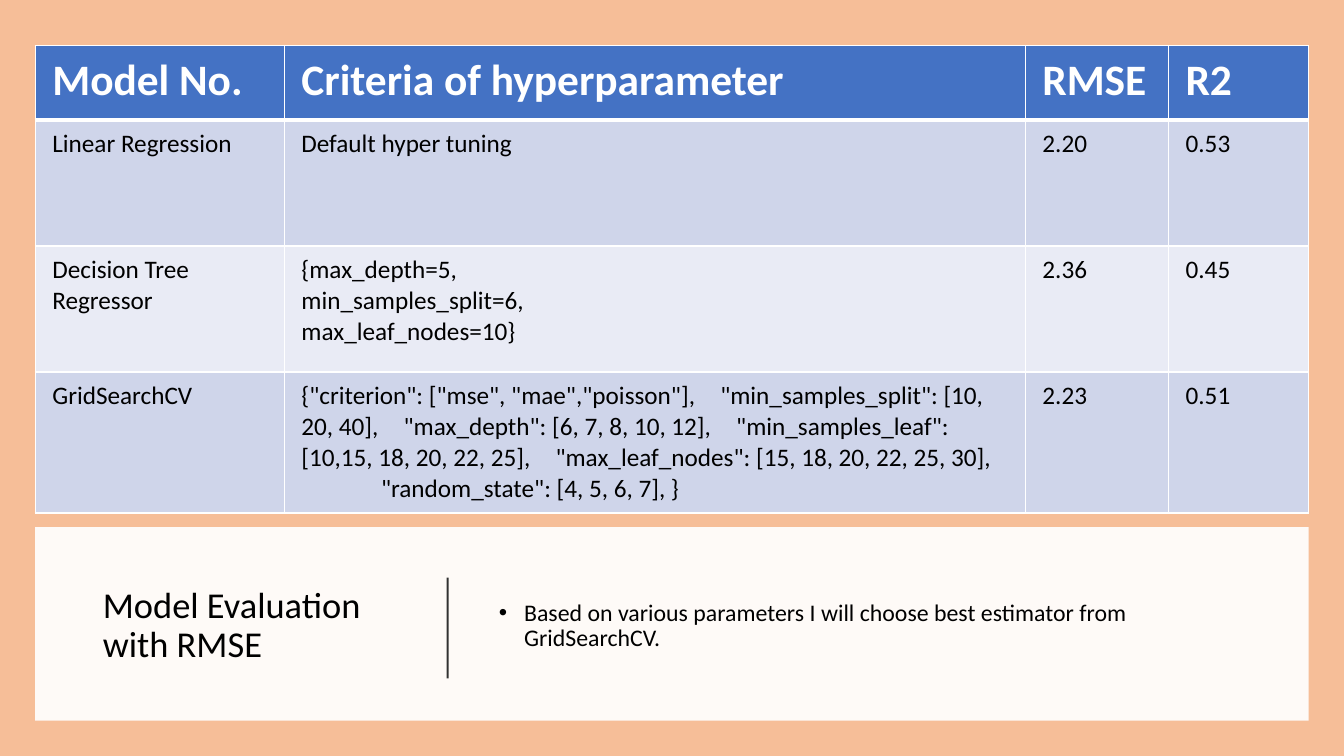
from lxml import etree
from pptx import Presentation
from pptx.dml.color import RGBColor as RGB
from pptx.enum.shapes import MSO_CONNECTOR as LINK, MSO_SHAPE as SHAPE
from pptx.enum.text import MSO_ANCHOR as ANCHOR, MSO_AUTO_SIZE as AUTO, PP_ALIGN as ALIGN
from pptx.oxml.ns import qn
from pptx.util import Inches, Pt

HEAD = ["Model No.", "Criteria of hyperparameter", "RMSE", "R2"]
GRID = ('{"criterion": ["mse", "mae","poisson"],\u2003"min_samples_split": [10, 20, 40],'
        '\u2003"max_depth": [6, 7, 8, 10, 12],\u2003"min_samples_leaf": [10,15, 18, 20, 22, 25],'
        '\u2003"max_leaf_nodes": [15, 18, 20, 22, 25, 30],')
SEED = '"random_state": [4, 5, 6, 7], }'
MODELS = [
    ["Linear Regression", "Default hyper tuning", "2.20", "0.53"],
    ["Decision Tree Regressor",
     "{max_depth=5,\nmin_samples_split=6,\nmax_leaf_nodes=10}", "2.36", "0.45"],
    ["GridSearchCV", GRID + "\n" + SEED, "2.23", "0.51"],
]
TITLE = "Model Evaluation with RMSE"
NOTE = "Based on various parameters I will choose best estimator from GridSearchCV."

PEACH = RGB(0xF6, 0xBE, 0x98)
WHITE = RGB(0xFF, 0xFF, 0xFF)
BLACK = RGB(0, 0, 0)
BLUE = RGB(0x44, 0x72, 0xC4)
BANDS = [RGB(0xCF, 0xD5, 0xEA), RGB(0xE9, 0xEB, 0xF5)]
COLS = [2.47, 7.35, 1.42, 1.39]
ROWS = [0.74, 1.25, 1.25, 1.25]
LEFT, WIDTH = 0.35, sum(COLS)


def box(*sides):
    return [Inches(side) for side in sides]


def write(para, text, size, color=BLACK, bold=False):
    run = para.add_run()
    run.text = text
    font = run.font
    font.name, font.size, font.bold = "Calibri", Pt(size), bold
    font.color.rgb = color


def fade(shape, pct):
    color = next(shape.element.spPr.iter(qn("a:srgbClr")))
    etree.SubElement(color, qn("a:alpha")).set("val", str(pct * 1000))


def edge(cell, row):
    props = cell._tc.get_or_add_tcPr()
    wide = {"T": 3 if row == 1 else 1, "B": 3 if row == 0 else 1}
    for spot, side in enumerate("LRTB"):
        line = etree.Element(qn("a:ln" + side), w=str(Pt(wide.get(side, 1))))
        fill = etree.SubElement(line, qn("a:solidFill"))
        etree.SubElement(fill, qn("a:srgbClr")).set("val", str(WHITE))
        props.insert(spot, line)


def block(shape, text, size):
    frame = shape.text_frame
    frame.word_wrap = True
    frame.auto_size = AUTO.NONE
    frame.vertical_anchor = ANCHOR.MIDDLE
    para = frame.paragraphs[0]
    para.alignment = ALIGN.LEFT
    para.line_spacing = 0.9
    para.space_after = Pt(6)
    write(para, text, size)
    return para


def main():
    """Build the model evaluation slide."""
    deck = Presentation()
    deck.slide_width, deck.slide_height = box(13.33, 7.5)
    slide = deck.slides.add_slide(deck.slide_layouts[5])
    slide.background.fill.solid()
    slide.background.fill.fore_color.rgb = PEACH
    shapes = slide.shapes

    panel = shapes.add_shape(SHAPE.RECTANGLE, *box(LEFT, 5.23, WIDTH, 1.92))
    panel.shadow.inherit = False
    panel.fill.solid()
    panel.fill.fore_color.rgb = WHITE
    panel.line.fill.background()
    fade(panel, 93)

    title = shapes.title
    panel.element.addnext(title.element)
    title.left, title.top, title.width, title.height = box(0.92, 5.48, 3.16, 1.47)
    block(title, TITLE, 26)

    rule = shapes.add_connector(LINK.STRAIGHT, *box(4.44, 6.73, 4.44, 5.73))
    rule.line.color.rgb = BLACK
    rule.line.width = Pt(1.5)
    fade(rule, 80)
    etree.SubElement(rule.element.spPr, qn("a:effectLst"))

    note = shapes.add_textbox(*box(4.79, 5.48, 7.63, 1.47))
    props = block(note, NOTE, 17)._p.get_or_add_pPr()
    props.set("marL", str(Inches(0.31)))
    props.set("indent", str(Inches(-0.25)))
    etree.SubElement(props, qn("a:buFont")).set("typeface", "Arial")
    etree.SubElement(props, qn("a:buChar")).set("char", "•")

    table = shapes.add_table(len(ROWS), len(COLS), *box(LEFT, 0.45, WIDTH, sum(ROWS))).table
    for col, wide in zip(table.columns, COLS):
        col.width = Inches(wide)
    for row, high in zip(table.rows, ROWS):
        row.height = Inches(high)
    for i, texts in enumerate([HEAD] + MODELS):
        style = (18, BLACK, False) if i else (31, WHITE, True)
        for j, text in enumerate(texts):
            cell = table.cell(i, j)
            cell.margin_left = cell.margin_right = Inches(0.17)
            cell.margin_top = cell.margin_bottom = Inches(0.09)
            cell.fill.solid()
            cell.fill.fore_color.rgb = BANDS[(i - 1) % 2] if i else BLUE
            edge(cell, i)
            frame = cell.text_frame
            for k, part in enumerate(text.split("\n")):
                para = frame.add_paragraph() if k else frame.paragraphs[0]
                write(para, part, *style)
                if part == SEED:
                    para._p.get_or_add_pPr().set("indent", str(Inches(0.79)))

    deck.save("out.pptx")


main()
